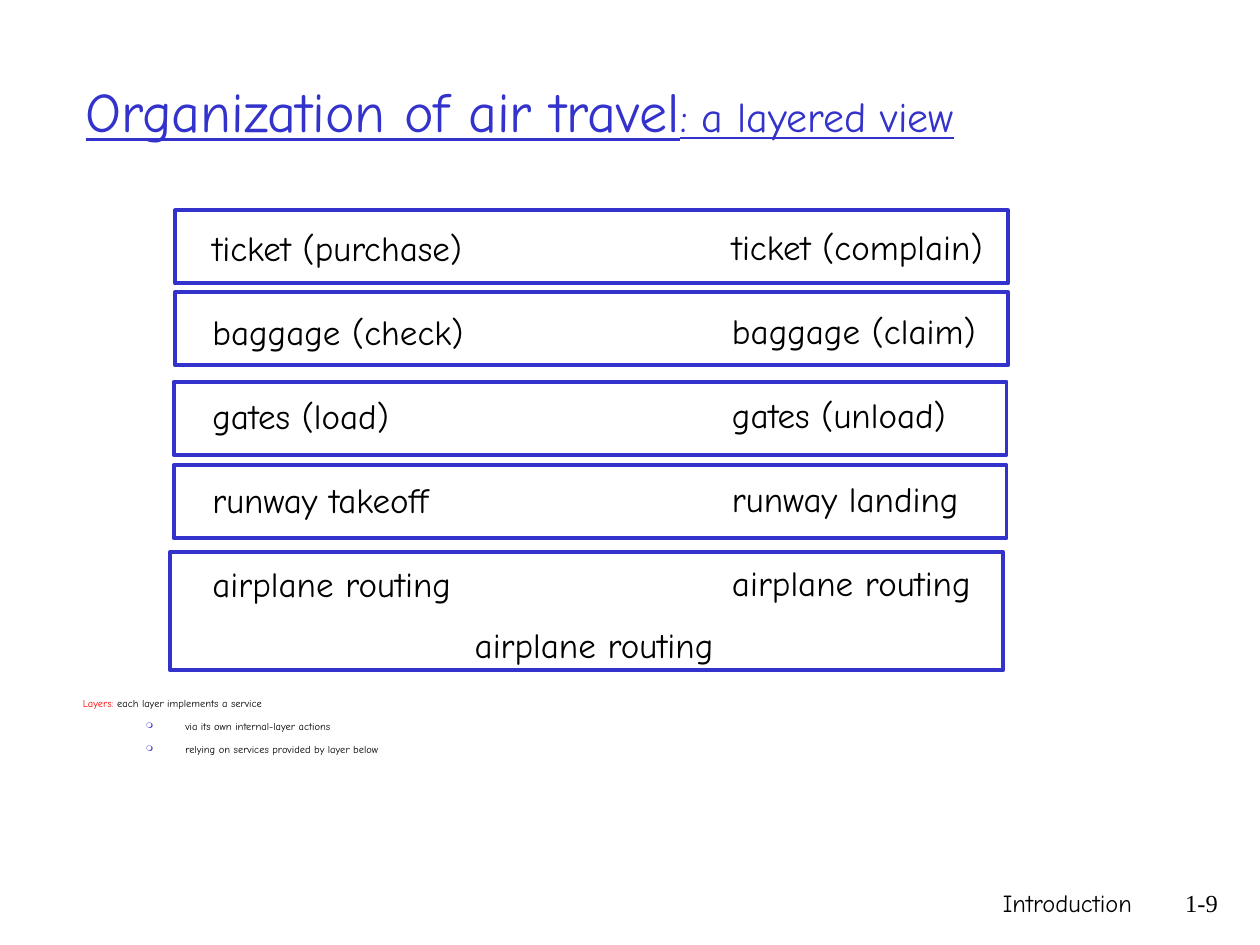
from lxml import etree
from pptx import Presentation
from pptx.dml.color import RGBColor
from pptx.enum.shapes import MSO_SHAPE
from pptx.enum.text import MSO_ANCHOR, PP_ALIGN
from pptx.oxml.ns import qn
from pptx.util import Pt

RECTANGLE = MSO_SHAPE.RECTANGLE
MIDDLE = MSO_ANCHOR.MIDDLE
RIGHT = PP_ALIGN.RIGHT

BLUE = RGBColor(0x33, 0x33, 0xCC)
RED = RGBColor(0xFF, 0x00, 0x00)
BLACK = RGBColor(0x00, 0x00, 0x00)

HAND_FONT = "Comic Neue"
SERIF_FONT = "Times New Roman"

STEP_SIZE = 20
STEP_GAP = 24
NOTE_SIZE = 6

DEPARTURE_STEPS = ["ticket (purchase)", "baggage (check)", "gates (load)",
                   "runway takeoff", "airplane routing"]
ARRIVAL_STEPS = ["ticket (complain)", "baggage (claim)", "gates (unload)",
                 "runway landing", "airplane routing"]
LAYER_ACTIONS = ["via its own internal-layer actions",
                 "relying on services provided by layer below"]

LAYER_WIDTH = 476
# left, top, height
LAYERS = [(100.1, 120.2, 41.8), (100.1, 167, 41.8), (99.2, 218.2, 41.8),
          (99.2, 265.7, 41.8), (97.2, 315.4, 67.7)]


def add_text_frame(slide, left, top, width, height, wrap=True):
    box = slide.shapes.add_textbox(Pt(left), Pt(top), Pt(width), Pt(height))
    box.text_frame.word_wrap = wrap
    return box.text_frame


def add_run(paragraph, text, size, color=BLACK, font=HAND_FONT, underline=None):
    run = paragraph.add_run()
    run.text = text
    run.font.size = Pt(size)
    run.font.name = font
    run.font.color.rgb = color
    run.font.underline = underline


def set_indent(paragraph, margin, first_line):
    properties = paragraph._p.get_or_add_pPr()
    properties.set("marL", str(Pt(margin)))
    properties.set("indent", str(Pt(first_line)))


def add_bullet(paragraph, character, color, percent):
    properties = paragraph._p.get_or_add_pPr()
    bullet_color = etree.SubElement(properties, qn("a:buClr"))
    etree.SubElement(bullet_color, qn("a:srgbClr"), val=str(color))
    etree.SubElement(properties, qn("a:buSzPct"), val=str(percent * 1000))
    etree.SubElement(properties, qn("a:buChar"), char=character)


def add_title(slide):
    frame = add_text_frame(slide, 41.8, 18, 647.3, 90)
    frame.vertical_anchor = MIDDLE
    paragraph = frame.paragraphs[0]
    add_run(paragraph, "Organization of air travel", 32, BLUE, underline=True)
    add_run(paragraph, ": a layered view", 24, BLUE, underline=True)


def add_steps(slide, left, top, width, steps):
    """Stack the steps one below another, a blank line's height apart."""
    height = len(steps) * 2 * STEP_GAP - STEP_GAP + 7.2
    frame = add_text_frame(slide, left, top, width, height, wrap=False)
    for index, step in enumerate(steps):
        paragraph = frame.add_paragraph() if index else frame.paragraphs[0]
        if index:
            paragraph.space_before = Pt(STEP_GAP)
        add_run(paragraph, step, STEP_SIZE)


def add_layer(slide, left, top, height):
    layer = slide.shapes.add_shape(RECTANGLE, Pt(left), Pt(top),
                                   Pt(LAYER_WIDTH), Pt(height))
    layer.shadow.inherit = False
    layer.fill.background()
    layer.line.color.rgb = BLUE
    layer.line.width = Pt(2.25)


def add_layer_notes(slide):
    frame = add_text_frame(slide, 40.3, 394.6, 612, 42.5)
    heading = frame.paragraphs[0]
    heading.space_before = Pt(6)
    set_indent(heading, 27, -27)
    add_run(heading, "Layers: ", NOTE_SIZE, RED)
    add_run(heading, "each layer implements a service", NOTE_SIZE)
    for action in LAYER_ACTIONS:
        paragraph = frame.add_paragraph()
        paragraph.level = 1
        paragraph.space_before = Pt(6)
        set_indent(paragraph, 58.5, -22.5)
        add_bullet(paragraph, "❍", BLUE, 75)
        add_run(paragraph, action, NOTE_SIZE)


def add_footer(slide, left, width, text, font):
    frame = add_text_frame(slide, left, 504, width, 36)
    paragraph = frame.paragraphs[0]
    paragraph.alignment = RIGHT
    add_run(paragraph, text, 14, font=font)


def main():
    presentation = Presentation()
    presentation.slide_width = Pt(720)
    presentation.slide_height = Pt(540)
    slide = presentation.slides.add_slide(presentation.slide_layouts[6])

    add_footer(slide, 426, 228, "Introduction", HAND_FONT)
    add_footer(slide, 654, 49, "1-9", SERIF_FONT)
    add_title(slide)
    add_layer_notes(slide)
    add_steps(slide, 114.3, 126, 158.4, DEPARTURE_STEPS)
    add_steps(slide, 411.2, 125.3, 157.7, ARRIVAL_STEPS)
    add_steps(slide, 264.2, 352.8, 151.2, ["airplane routing"])
    for left, top, height in LAYERS:
        add_layer(slide, left, top, height)

    presentation.save("out.pptx")


if __name__ == "__main__":
    main()
